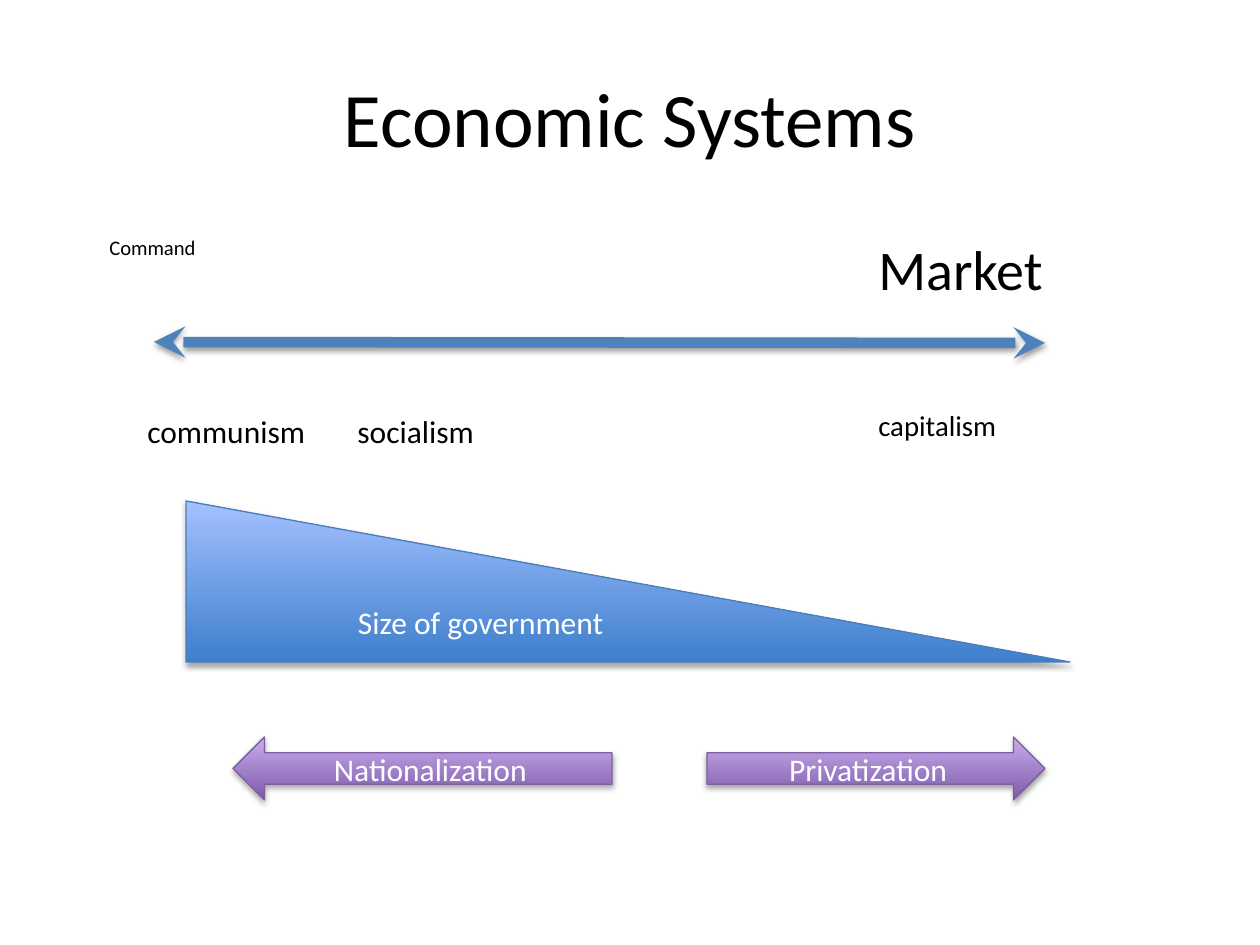
from dataclasses import dataclass

import pptx
import pptx.dml.color
import pptx.enum.shapes
import pptx.enum.text
import pptx.oxml
import pptx.oxml.ns
import pptx.util
from lxml import etree

SCALE = 914400 / 126
KIND = pptx.enum.shapes.MSO_SHAPE
ALIGN = pptx.enum.text.PP_ALIGN
ANCHOR = pptx.enum.text.MSO_ANCHOR


@dataclass(frozen=True)
class Theme:
    font: str = "Calibri"
    ink: str = "000000"
    pale: str = "FFFFFF"
    axis: str = "4F81BD"
    blue: tuple = ("3E7FCC", "A4C1FF", "4A7EBB")
    violet: tuple = ("7E5AAA", "C7AEED", "7D5FA0")
    title: float = 44
    large: float = 32
    body: float = 18
    medium: float = 16.4
    small: float = 11.8
    edge: float = 0.75
    shaft: float = 6


@dataclass(frozen=True)
class Label:
    text: str
    box: tuple
    size: float
    space: float = 0
    align: ALIGN = ALIGN.LEFT
    anchor: ANCHOR = ANCHOR.TOP


@dataclass(frozen=True)
class Block:
    text: str
    kind: KIND
    box: tuple
    tone: tuple


THEME = Theme()
LABELS = [
    Label("Economic Systems", (63, 38, 1134, 158), THEME.title,
          align=ALIGN.CENTER, anchor=ANCHOR.MIDDLE),
    Label("Command", (97, 229, 255, 82), THEME.small, 6.4),
    Label("Market", (866, 228, 255, 82), THEME.large, 6.4),
    Label("communism", (135, 406, 255, 82), THEME.body, 3.6),
    Label("socialism", (345, 406, 171, 82), THEME.body, 3.6),
    Label("capitalism", (866, 402, 178, 82), THEME.medium, 3.6),
]
BLOCKS = [
    Block("Size of government", KIND.RIGHT_TRIANGLE, (186, 501, 884, 161), THEME.blue),
    Block("Nationalization", KIND.LEFT_ARROW, (233, 737, 379, 63), THEME.violet),
    Block("Privatization", KIND.RIGHT_ARROW, (707, 737, 338, 63), THEME.violet),
]


def px(*marks: int) -> list:
    return [pptx.util.Emu(round(mark * SCALE)) for mark in marks]


def rgb(code: str) -> pptx.dml.color.RGBColor:
    return pptx.dml.color.RGBColor.from_string(code)


def add_node(root, name: str, **attrs):
    return etree.SubElement(root, pptx.oxml.ns.qn(name), attrs)


def add_shade(shape, drop: int, alpha: int) -> None:
    effects = add_node(shape._element.spPr, "a:effectLst")
    shade = add_node(effects, "a:outerShdw", blurRad="40000", dist=str(drop),
                     dir="5400000", rotWithShape="0")
    color = add_node(shade, "a:srgbClr", val=THEME.ink)
    add_node(color, "a:alpha", val=str(alpha * 1000))


def set_text(shape, text: str, size: float, color: str, align: ALIGN,
             anchor: ANCHOR, space: float = 0) -> None:
    frame = shape.text_frame
    frame.word_wrap = True
    frame.vertical_anchor = anchor
    frame.text = text
    para = frame.paragraphs[0]
    para.alignment = align
    para.space_before = pptx.util.Pt(space)
    font = para.runs[0].font
    font.name = THEME.font
    font.size = pptx.util.Pt(size)
    font.color.rgb = rgb(color)


def add_label(slide, label: Label) -> None:
    box = slide.shapes.add_textbox(*px(*label.box))
    set_text(box, label.text, label.size, THEME.ink, label.align,
             label.anchor, label.space)


def add_block(slide, block: Block) -> None:
    shape = slide.shapes.add_shape(block.kind, *px(*block.box))
    dark, light, edge = block.tone
    shape.fill.gradient()
    shape.fill.gradient_angle = 90
    for stop, place, code in zip(shape.fill.gradient_stops, (0, 1), (dark, light)):
        stop.position = place
        stop.color.rgb = rgb(code)
    shape.line.color.rgb = rgb(edge)
    shape.line.width = pptx.util.Pt(THEME.edge)
    add_shade(shape, 23000, 35)
    set_text(shape, block.text, THEME.body, THEME.pale, ALIGN.CENTER, ANCHOR.MIDDLE)


def add_axis(slide, ends: tuple) -> None:
    axis = slide.shapes.add_connector(
        pptx.enum.shapes.MSO_CONNECTOR.STRAIGHT, *px(*ends))
    axis.line.color.rgb = rgb(THEME.axis)
    axis.line.width = pptx.util.Pt(THEME.shaft)
    for tip in ("a:headEnd", "a:tailEnd"):
        add_node(axis.line._get_or_add_ln(), tip, type="stealth")
    add_shade(axis, 20000, 38)


def main() -> None:
    deck = pptx.Presentation()
    deck.slide_width, deck.slide_height = px(1260, 945)
    slide = deck.slides.add_slide(deck.slide_layouts[6])
    for label in LABELS:
        add_label(slide, label)
    add_axis(slide, (154, 342, 1045, 343))
    for block in BLOCKS:
        add_block(slide, block)
    deck.save("out.pptx")


main()
